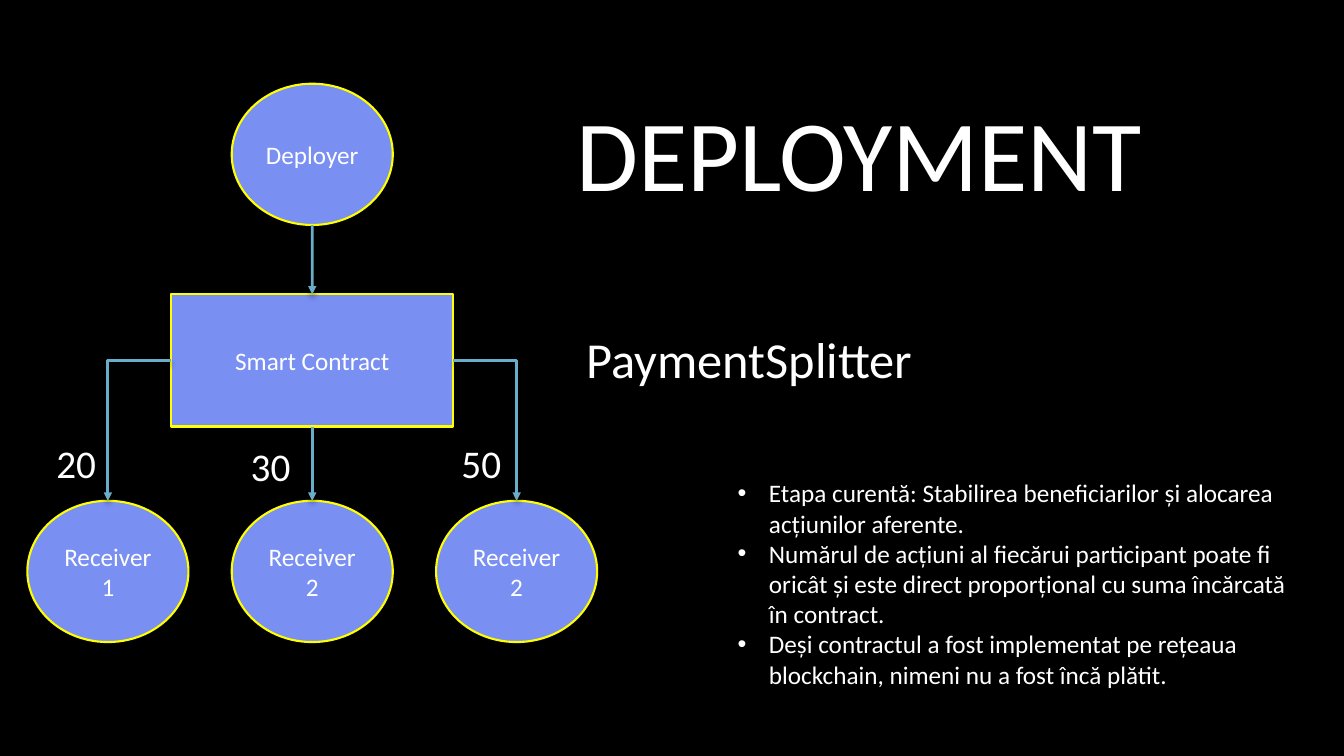
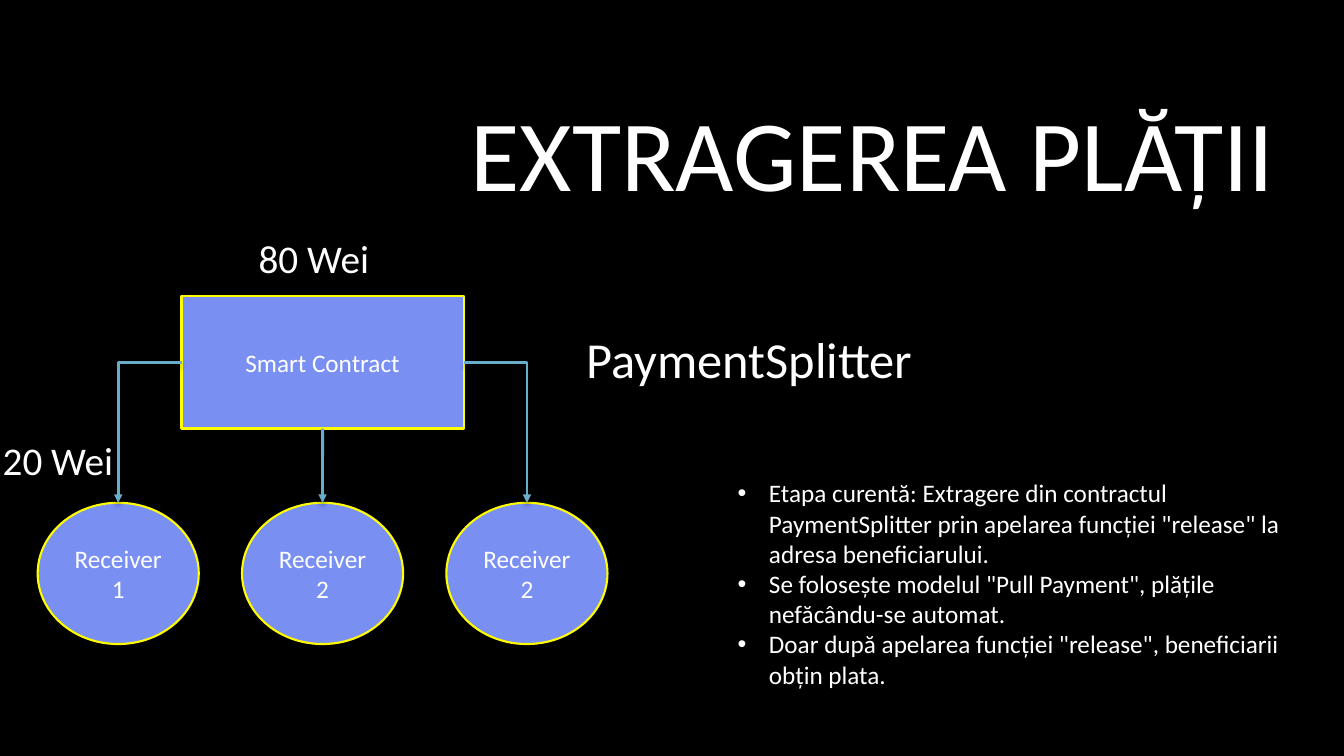
"""Build two slides on deploying and paying out a PaymentSplitter contract."""
from lxml import etree
from pptx import Presentation
from pptx import util as u
from pptx.dml.color import RGBColor
from pptx.enum import shapes, text
from pptx.oxml import ns

BLACK = RGBColor(0x00, 0x00, 0x00)
WHITE = RGBColor(0xFF, 0xFF, 0xFF)
PERIWINKLE = RGBColor(0x79, 0x8F, 0xF2)
YELLOW = RGBColor(0xFF, 0xFF, 0x00)
TEAL = RGBColor(0x6A, 0xAD, 0xC8)
FONT = "Calibri"

SHADOW = (
    '<a:effectLst xmlns:a="http://schemas.openxmlformats.org/drawingml/2006/main">'
    '<a:outerShdw blurRad="50800" dist="38100" dir="5400000" rotWithShape="0">'
    '<a:srgbClr val="000000"><a:alpha val="35000"/></a:srgbClr>'
    "</a:outerShdw></a:effectLst>"
)

NODE_W, NODE_H = 4.06, 3.56
CONTRACT_W, CONTRACT_H = 7.11, 3.33
RECEIVER_STEP = 5.15
DEPLOYER_TOP, CONTRACT_TOP, RECEIVER_TOP = 2.11, 7.42, 12.62
TITLE_RIGHT = 32.46
RECEIVERS = ["Receiver1", "Receiver2", "Receiver2"]

STAGES = [
    {
        "title": "DEPLOYMENT",
        "title_left": 14.27,
        "center": 7.87,
        "drop": 0,
        "deployer": True,
        "amounts": [("20", 1.17, 10.95, 1.55), ("30", 6.07, 11.02, 1.55), ("50", 11.38, 10.95, 1.55)],
        "notes": [
            "Etapa curentă: Stabilirea beneficiarilor și alocarea acțiunilor aferente.",
            "Numărul de acțiuni al fiecărui participant poate fi oricât și este direct "
            "proporțional cu suma încărcată în contract.",
            "Deși contractul a fost implementat pe rețeaua blockchain, nimeni nu a fost încă plătit.",
        ],
    },
    {
        "title": "EXTRAGEREA PLĂȚII",
        "title_left": 11.61,
        "center": 8.13,
        "drop": 0.05,
        "deployer": False,
        "amounts": [("80 Wei", 6.27, 5.79, 3.89), ("20 Wei", -0.18, 10.87, 3.89)],
        "notes": [
            'Etapa curentă: Extragere din contractul PaymentSplitter prin apelarea funcției '
            '"release" la adresa beneficiarului.',
            'Se folosește modelul "Pull Payment", plățile nefăcându-se automat.',
            'Doar după apelarea funcției "release", beneficiarii obțin plata.',
        ],
    },
]


def add_words(slide, kind, lines, left, top, width, height, size, bulleted=False):
    """Add a text box, or a filled node when a shape kind is given."""
    area = [u.Cm(length) for length in (left, top, width, height)]
    if kind is None:
        box = slide.shapes.add_textbox(*area)
    else:
        box = slide.shapes.add_shape(kind, *area)
        box.shadow.inherit = False
        box.fill.solid()
        box.fill.fore_color.rgb = PERIWINKLE
        box.line.color.rgb = YELLOW
        box.line.width = u.Pt(1.5)
    frame = box.text_frame
    frame.word_wrap = True
    frame.text = "\n".join(lines)
    for paragraph in frame.paragraphs:
        if bulleted:
            properties = paragraph._p.get_or_add_pPr()
            properties.set("marL", str(u.Cm(0.79)))
            properties.set("indent", str(-u.Cm(0.79)))
            etree.SubElement(properties, ns.qn("a:buFont")).set("typeface", "Arial")
            etree.SubElement(properties, ns.qn("a:buChar")).set("char", "•")
        if kind is not None:
            paragraph.alignment = text.PP_ALIGN.CENTER
        paragraph.font.name = FONT
        paragraph.font.size = u.Pt(size)
        paragraph.font.color.rgb = WHITE
    return box


def add_arrow(slide, start, end, source=None, site=None, target=None):
    """Add a shadowed arrow, with one bend when its ends are not aligned."""
    bent = start[0] != end[0]
    route = shapes.MSO_CONNECTOR.ELBOW if bent else shapes.MSO_CONNECTOR.STRAIGHT
    arrow = slide.shapes.add_connector(route, *[u.Cm(length) for length in (*start, *end)])
    if source is not None:
        arrow.begin_connect(source, site)
    arrow.end_connect(target, 1 if target.auto_shape_type is None else 0)
    properties = arrow._element.spPr
    if bent:
        properties.find(ns.qn("a:prstGeom")).set("prst", "bentConnector2")
    arrow.line.color.rgb = TEAL
    arrow.line.width = u.Pt(2)
    etree.SubElement(arrow.line._get_or_add_ln(), ns.qn("a:tailEnd")).set("type", "triangle")
    properties.append(etree.fromstring(SHADOW))


deck = Presentation()
deck.slide_width, deck.slide_height = u.Cm(33.87), u.Cm(19.05)
backdrop = deck.slide_master.background.fill
backdrop.solid()
backdrop.fore_color.rgb = BLACK

OVAL, RECTANGLE = shapes.MSO_SHAPE.OVAL, shapes.MSO_SHAPE.RECTANGLE

for stage in STAGES:
    slide = deck.slides.add_slide(deck.slide_layouts[6])
    center = stage["center"]
    contract_top = CONTRACT_TOP + stage["drop"]
    receiver_top = RECEIVER_TOP + stage["drop"]
    contract_middle = contract_top + CONTRACT_H / 2

    contract = add_words(slide, RECTANGLE, ["Smart Contract"], center - CONTRACT_W / 2,
                         contract_top, CONTRACT_W, CONTRACT_H, 18)
    if stage["deployer"]:
        add_words(slide, OVAL, ["Deployer"], center - NODE_W / 2, DEPLOYER_TOP, NODE_W, NODE_H, 18)
        add_arrow(slide, (center, DEPLOYER_TOP + NODE_H), (center, contract_top), target=contract)

    exits = [
        (1, center - CONTRACT_W / 2, contract_middle),
        (2, center, contract_top + CONTRACT_H),
        (3, center + CONTRACT_W / 2, contract_middle),
    ]
    for column, (name, (site, exit_x, exit_y)) in enumerate(zip(RECEIVERS, exits)):
        receiver_x = center + (column - 1) * RECEIVER_STEP
        receiver = add_words(slide, OVAL, [name], receiver_x - NODE_W / 2, receiver_top,
                             NODE_W, NODE_H, 18)
        add_arrow(slide, (exit_x, exit_y), (receiver_x, receiver_top), contract, site, receiver)

    title_left = stage["title_left"]
    add_words(slide, None, [stage["title"]], title_left, 2.16, TITLE_RIGHT - title_left, 4.19, 72)
    add_words(slide, None, ["PaymentSplitter"], 14.53, 8.15, 8.84, 1.8, 36)
    add_words(slide, None, stage["notes"], 18.34, 11.91, 14.58, 5.64, 18, bulleted=True)
    for amount, left, top, width in stage["amounts"]:
        add_words(slide, None, [amount], left, top, width, 1.45, 28)

deck.save("out.pptx")
